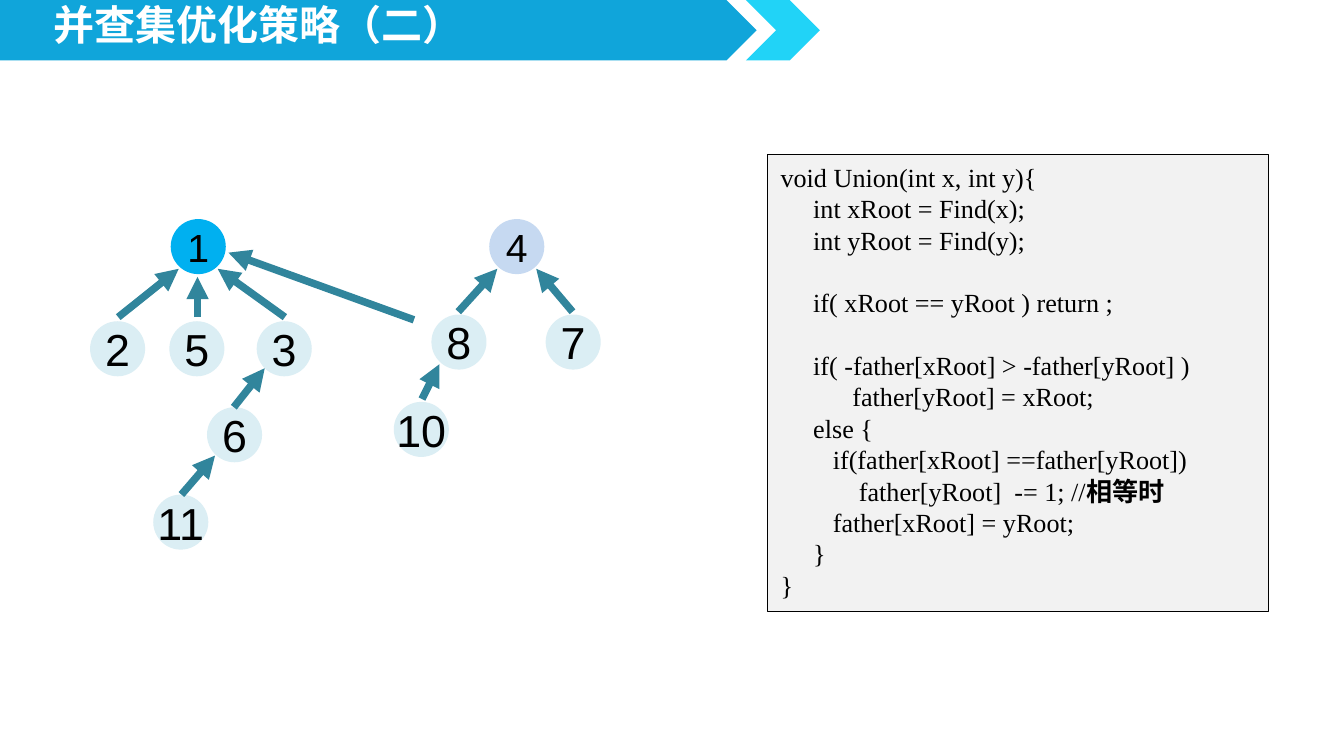
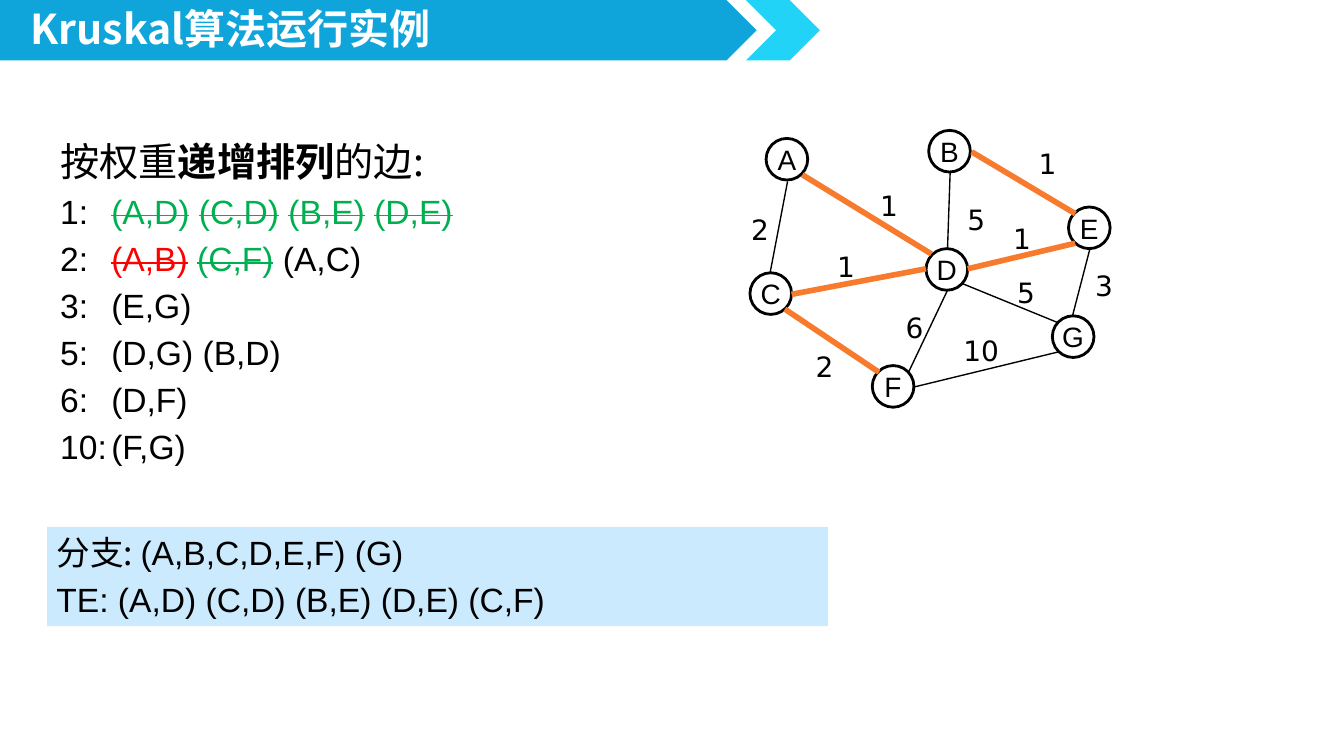
from lxml import etree
from pptx import Presentation, util as u
from pptx.dml.color import RGBColor
from pptx.enum import shapes, text
from pptx.oxml.ns import qn

COLORS = {
    "band": "10A5DA", "chevron": "21D3F7", "white": "FFFFFF", "black": "000000",
    "code": "F2F2F2", "root": "00B0F0", "other_root": "C6D9F1", "child": "DBEEF4",
    "arrow": "31859C", "chosen": "F77A2D", "accepted": "00B050",
    "rejected": "FF0000", "summary": "CBEAFD",
}
RGB = {name: RGBColor.from_string(value) for name, value in COLORS.items()}
CJK = "Noto Sans CJK SC"


def add_node(page, label, x, y, size, points, fill=None, outline=None):
    node = page.shapes.add_shape(shapes.MSO_SHAPE.OVAL, u.Inches(x), u.Inches(y),
                                 u.Inches(size), u.Inches(size))
    node.shadow.inherit = False
    if fill:
        node.fill.solid()
        node.fill.fore_color.rgb = RGB[fill]
    else:
        node.fill.background()
    if outline:
        node.line.color.rgb = RGB[outline]
        node.line.width = u.Pt(1.5)
    else:
        node.line.fill.background()
    frame = node.text_frame
    frame.word_wrap = False
    frame.vertical_anchor = text.MSO_ANCHOR.MIDDLE
    para = frame.paragraphs[0]
    para.text = label
    para.alignment = text.PP_ALIGN.CENTER
    para.font.size = u.Pt(points)
    para.font.name = "Arial"
    para.font.color.rgb = RGB["black"]


def add_line(page, ends, color, width, arrow=False):
    line = page.shapes.add_connector(shapes.MSO_CONNECTOR.STRAIGHT,
                                     *[u.Inches(value) for value in ends])
    line.line.color.rgb = RGB[color]
    line.line.width = u.Pt(width)
    if arrow:
        etree.SubElement(line.line._get_or_add_ln(), qn("a:tailEnd"), type="triangle")
    etree.SubElement(line.element.spPr, qn("a:effectLst"))


# A 16:9 deck
deck = Presentation()
deck.slide_width = u.Inches(10)
deck.slide_height = deck.slide_width * 9 // 16
layout = deck.slide_layouts[5]

# Pages with their titles
pages = []
for title_text, x, y, width in [("并查集优化策略（二）", 0.3, 0.02, 3.29),
                                ("Kruskal算法运行实例", 0.13, 0.05, 3.31)]:
    page = deck.slides.add_slide(layout)
    pages.append(page)
    title = page.shapes.title
    title.left, title.top = u.Inches(x), u.Inches(y)
    title.width, title.height = u.Inches(width), u.Inches(0.4)
    title.text_frame.word_wrap = False
    title.text_frame.auto_size = text.MSO_AUTO_SIZE.NONE
    title.text_frame.vertical_anchor = text.MSO_ANCHOR.TOP
    para = title.text_frame.paragraphs[0]
    para.text = title_text
    para.alignment = text.PP_ALIGN.LEFT
    para.line_spacing = 0.8
    para.font.size = u.Pt(22)
    para.font.bold = True
    para.font.name = CJK
    para.font.color.rgb = RGB["white"]
union_page, kruskal_page = pages

# Header bands, moved to the layout that both pages share
for kind, x, width, color in [(shapes.MSO_SHAPE.PENTAGON, 0, 5.63, "band"),
                              (shapes.MSO_SHAPE.CHEVRON, 5.55, 0.55, "chevron")]:
    band = union_page.shapes.add_shape(kind, u.Inches(x), 0, u.Inches(width), u.Inches(0.45))
    band.shadow.inherit = False
    band.fill.solid()
    band.fill.fore_color.rgb = RGB[color]
    band.line.fill.background()
    layout.shapes.element.append(band.element)

# Slide 1: code of the union step
CODE = """\
void Union(int x, int y){
     int xRoot = Find(x);
     int yRoot = Find(y);

     if( xRoot == yRoot ) return ;

     if( -father[xRoot] > -father[yRoot] )
           father[yRoot] = xRoot;
     else {
        if(father[xRoot] ==father[yRoot])
            father[yRoot]  -= 1; //相等时
        father[xRoot] = yRoot;
     }
}"""
box = union_page.shapes.add_shape(shapes.MSO_SHAPE.RECTANGLE, u.Inches(5.71), u.Inches(1.15),
                                  u.Inches(3.73), u.Inches(3.4))
box.shadow.inherit = False
box.fill.solid()
box.fill.fore_color.rgb = RGB["code"]
box.line.color.rgb = RGB["black"]
box.line.width = u.Pt(0.75)
frame = box.text_frame
frame.word_wrap = True
frame.vertical_anchor = text.MSO_ANCHOR.TOP
for number, code_line in enumerate(CODE.splitlines()):
    para = frame.add_paragraph() if number else frame.paragraphs[0]
    para.alignment = text.PP_ALIGN.LEFT
    para.font.size = u.Pt(14)
    para.font.name = "Times New Roman"
    para.font.color.rgb = RGB["black"]
    code, slashes, comment = code_line.partition("//")
    if code:
        para.add_run().text = code + slashes
    if comment:
        span = para.add_run()
        span.text = comment
        span.font.bold = True
        span.font.name = CJK

# Slide 1: the two trees
add_node(union_page, "1", 1.27, 1.63, 0.41, 21, "root")
add_node(union_page, "4", 3.64, 1.63, 0.41, 21, "other_root")
for label, x, y in [("2", 0.67, 2.39), ("5", 1.26, 2.39), ("3", 1.91, 2.39),
                    ("6", 1.54, 3.03), ("11", 1.14, 3.68),
                    ("8", 3.21, 2.34), ("7", 4.06, 2.34), ("10", 2.93, 2.99)]:
    add_node(union_page, label, x, y, 0.41, 24, "child")

# Arrows run from child to parent
for ends in [(0.88, 2.36, 1.33, 2), (1.47, 2.36, 1.47, 2.06), (2.12, 2.36, 1.62, 2),
             (1.74, 3.03, 1.97, 2.74), (1.35, 3.68, 1.6, 3.39), (3.41, 2.32, 3.7, 2),
             (4.26, 2.32, 3.99, 2), (3.14, 2.97, 3.27, 2.71), (3.08, 2.38, 1.7, 1.88)]:
    add_line(union_page, ends, "arrow", 4, arrow=True)

# Slide 2: edges sorted by weight, each span as (text, colour of its strike)
edge_rows = [
    [("1:\t", None), ("(A,D)", "accepted"), (" ", None), ("(C,D)", "accepted"), (" ", None),
     ("(B,E)", "accepted"), (" ", None), ("(D,E)", "accepted")],
    [("2:\t", None), ("(A,B)", "rejected"), (" ", None), ("(C,F)", "accepted"),
     (" (A,C)", None)],
    [("3:\t(E,G)", None)],
    [("5:\t(D,G) (B,D)", None)],
    [("6:\t(D,F)", None)],
    [("10:\t(F,G)", None)],
]
box = kruskal_page.shapes.add_textbox(u.Inches(0.35), u.Inches(0.97), u.Inches(9), u.Inches(2.79))
frame = box.text_frame
frame.word_wrap = True
para = frame.paragraphs[0]
para.font.size = u.Pt(21)
para.font.name = CJK
para.font.color.rgb = RGB["black"]
for words, bold in [("按权重", False), ("递增排列", True), ("的边:", False)]:
    span = para.add_run()
    span.text = words
    span.font.bold = bold
for row in edge_rows:
    para = frame.add_paragraph()
    properties = para._p.get_or_add_pPr()
    properties.set("marL", str(u.Inches(0.38)))
    properties.set("indent", str(-u.Inches(0.38)))
    para.space_before = u.Pt(3.6)
    para.font.size = u.Pt(18)
    para.font.name = "Arial"
    para.font.color.rgb = RGB["black"]
    for words, strike in row:
        span = para.add_run()
        span.text = words
        if strike:
            span.font.color.rgb = RGB[strike]
            span._r.get_or_add_rPr().set("strike", "sngStrike")

# Slide 2: branches and tree edges so far
box = kruskal_page.shapes.add_shape(shapes.MSO_SHAPE.RECTANGLE, u.Inches(0.35), u.Inches(3.92),
                                    u.Inches(5.81), u.Inches(0.74))
box.shadow.inherit = False
box.fill.solid()
box.fill.fore_color.rgb = RGB["summary"]
box.line.fill.background()
frame = box.text_frame
frame.word_wrap = True
frame.vertical_anchor = text.MSO_ANCHOR.TOP
frame.margin_left = frame.margin_right = u.Inches(0.07)
frame.margin_top = frame.margin_bottom = u.Inches(0.04)
for number, row in enumerate([[("分支: ", CJK), ("(A,B,C,D,E,F) (G)", "Arial")],
                              [("TE: (A,D) (C,D) (B,E) (D,E) (C,F)", "Arial")]]):
    para = frame.add_paragraph() if number else frame.paragraphs[0]
    para.alignment = text.PP_ALIGN.LEFT
    if number:
        para.space_before = u.Pt(3.6)
    para.font.size = u.Pt(18)
    para.font.color.rgb = RGB["black"]
    for words, font_name in row:
        span = para.add_run()
        span.text = words
        span.font.name = font_name

# Slide 2: weighted graph
for label, x, y in [("A", 5.7, 1.03), ("B", 6.91, 0.97), ("C", 5.58, 2.03), ("D", 6.89, 1.85),
                    ("F", 6.49, 2.72), ("E", 7.95, 1.54), ("G", 7.83, 2.35)]:
    add_node(kruskal_page, label, x, y, 0.31, 15, outline="black")
for ends in [(5.86, 1.35, 5.73, 2.03), (7.05, 1.85, 7.07, 1.28), (7.05, 2.16, 6.76, 2.77),
             (7.16, 2.11, 7.87, 2.4), (7.98, 2.35, 8.11, 1.85), (6.8, 2.88, 7.87, 2.62)]:
    add_line(kruskal_page, ends, "black", 0.75)
for ends in [(5.97, 1.3, 6.93, 1.89), (5.89, 2.19, 6.89, 2), (7.2, 2, 8, 1.81),
             (8, 1.59, 7.23, 1.13), (5.84, 2.3, 6.54, 2.77)]:
    add_line(kruskal_page, ends, "chosen", 3)
for weight, x, y in [("1", 6.45, 1.35), ("2", 5.49, 1.53), ("5", 7.1, 1.46), ("1", 6.13, 1.81),
                     ("1", 7.44, 1.6), ("1", 7.63, 1.04), ("2", 5.97, 2.55), ("6", 6.64, 2.26),
                     ("5", 7.47, 2), ("3", 8.05, 1.95), ("10", 7.07, 2.43)]:
    width = 0.34 if len(weight) == 1 else 0.47
    box = kruskal_page.shapes.add_textbox(u.Inches(x), u.Inches(y), u.Inches(width), u.Inches(0.35))
    box.text_frame.word_wrap = False
    para = box.text_frame.paragraphs[0]
    para.text = weight
    para.font.size = u.Pt(15)
    para.font.name = "DejaVu Sans"
    para.font.color.rgb = RGB["black"]

# Chinese text takes its font from the East Asian slot
for page in pages:
    for latin in list(page.element.iter(qn("a:latin"))):
        if latin.get("typeface") == CJK:
            latin.addnext(latin.makeelement(qn("a:ea"), {"typeface": CJK}))

deck.save("out.pptx")
